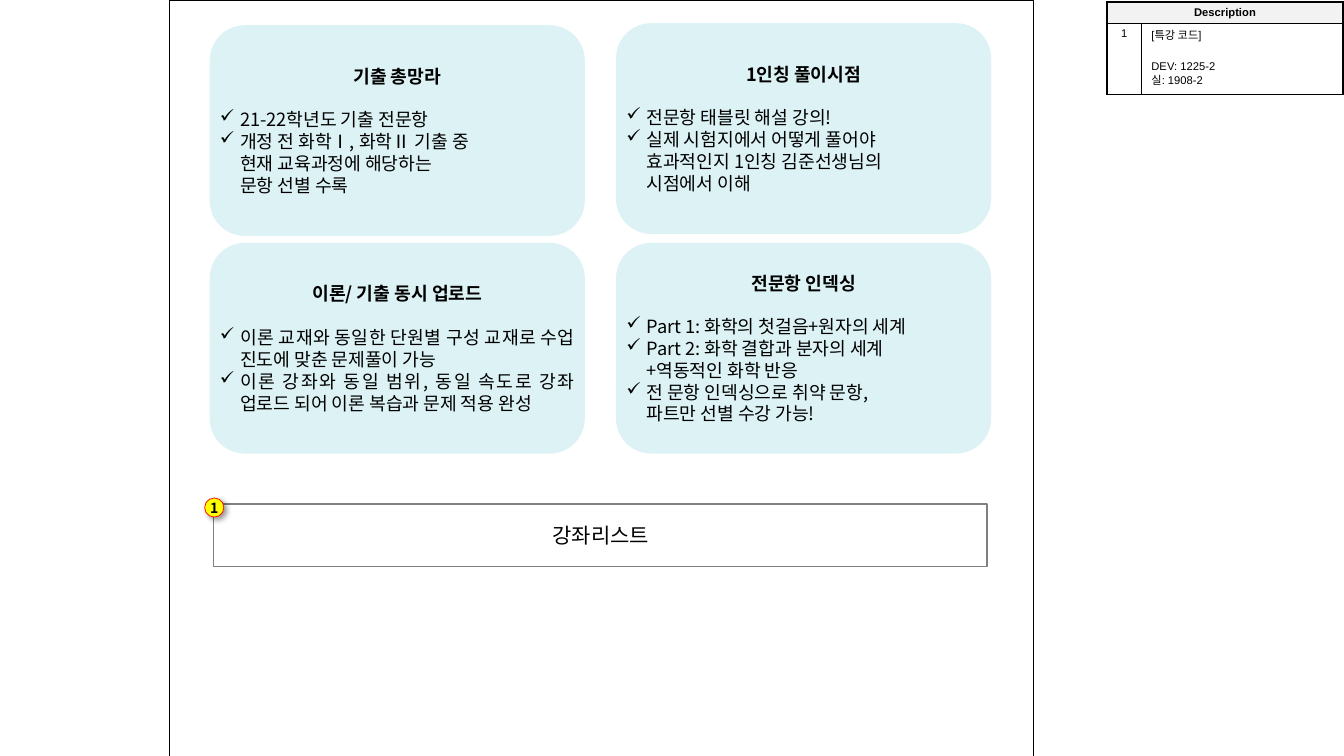
from lxml.etree import SubElement
from pptx import Presentation
from pptx.dml.color import RGBColor as RGB
from pptx.enum.shapes import MSO_SHAPE as Preset
from pptx.enum.text import MSO_ANCHOR as Anchor, PP_ALIGN as Align
from pptx.oxml import parse_xml
from pptx.oxml.ns import nsdecls, qn
from pptx.util import Inches, Pt

COLORS = {"ink": "000000", "card": "8CD4E0", "border": "808080", "head": "F2F2F2",
          "paper": "FFFFFF", "badge": "FFFF00", "ring": "FF0000"}
KOREAN = "Noto Sans CJK KR"
COLUMNS, ROWS = 133.3, 75
CHECK, MORE = "check", "continued"
CARD_LINE = Pt(15.6)
TABLE_LINE = Pt(10.7)
CARD_INDENT = 2

CARDS = [
    (0, 2.5, "기출 총망라", [
        (CHECK, "21-22학년도 기출 전문항"),
        (CHECK, "개정 전 화학Ⅰ, 화학Ⅱ 기출 중"),
        (MORE, "현재 교육과정에 해당하는"),
        (MORE, "문항 선별 수록")]),
    (1, 2.3, "1인칭 풀이시점", [
        (CHECK, "전문항 태블릿 해설 강의!"),
        (CHECK, "실제 시험지에서 어떻게 풀어야"),
        (MORE, "효과적인지 1인칭 김준선생님의"),
        (MORE, "시점에서 이해")]),
    (0, 24.1, "이론/ 기출 동시 업로드", [
        (CHECK, "이론 교재와 동일한 단원별 구성 교재로 수업 진도에 맞춘 문제풀이 가능"),
        (CHECK, "이론 강좌와 동일 범위, 동일 속도로 강좌 업로드 되어 이론 복습과 문제 적용 완성")]),
    (1, 24.1, "전문항 인덱싱", [
        (CHECK, "Part 1: 화학의 첫걸음+원자의 세계"),
        (CHECK, "Part 2: 화학 결합과 분자의 세계"),
        (MORE, "+역동적인 화학 반응"),
        (CHECK, "전 문항 인덱싱으로 취약 문항,"),
        (MORE, "파트만 선별 수강 가능!")]),
]


def apply(target, formats):
    for name, value in formats.items():
        setattr(target, name, value)


class Board:
    """Draws on one slide; lengths are columns and rows of its grid."""

    def __init__(self, deck):
        self.slide = deck.slides.add_slide(deck.slide_layouts[6])
        self.column = deck.slide_width / COLUMNS
        self.row = deck.slide_height / ROWS

    def place(self, left, top, width, height):
        return [round(size * unit) for size, unit in
                zip((left, top, width, height), (self.column, self.row) * 2)]

    def add_line(self, frame, text, size, font=KOREAN, bold=False, first=False, **formats):
        paragraph = frame.paragraphs[0] if first else frame.add_paragraph()
        apply(paragraph, formats)
        run = paragraph.add_run()
        run.text = text
        apply(run.font, {"name": font, "size": Pt(size), "bold": bold})
        run.font.color.rgb = RGB.from_string(COLORS["ink"])
        SubElement(run._r.get_or_add_rPr(), qn("a:ea"), typeface=KOREAN)
        return paragraph

    def set_frame(self, frame, anchor=Anchor.MIDDLE, wrap=True):
        apply(frame, {"margin_left": 0, "margin_right": 0, "margin_top": 0,
                      "margin_bottom": 0, "vertical_anchor": anchor, "word_wrap": wrap})

    def shape(self, preset, box, fill=None, line=None, weight=1):
        shape = self.slide.shapes.add_shape(preset, *self.place(*box))
        shape.shadow.inherit = False
        if fill:
            shape.fill.solid()
            shape.fill.fore_color.rgb = RGB.from_string(COLORS[fill])
        else:
            shape.fill.background()
        if line:
            shape.line.color.rgb = RGB.from_string(COLORS[line])
            shape.line.width = Pt(weight)
        else:
            shape.line.fill.background()
        return shape

    def card(self, side, top, heading, points):
        card = self.shape(Preset.ROUNDED_RECTANGLE, (20.8 + 40.3 * side, top, 37.2, 20.9), "card")
        tint = card._element.spPr.find(qn("a:solidFill"))[0]
        SubElement(tint, qn("a:alpha"), val="30000")
        frame = card.text_frame
        self.set_frame(frame)
        self.add_line(frame, heading, 13, bold=True, first=True, alignment=Align.CENTER,
                      line_spacing=CARD_LINE, space_after=CARD_LINE)
        indent = round(CARD_INDENT * self.column)
        for kind, text in points:
            point = self.add_line(frame, text, 13, alignment=Align.JUSTIFY, line_spacing=CARD_LINE)
            layout = point._p.get_or_add_pPr()
            layout.set("marL", str(indent))
            layout.set("indent", str(-indent if kind == CHECK else 0))
            if kind == CHECK:
                SubElement(layout, qn("a:buChar"), char="✓")

    def label(self, box, text, size):
        frame = self.slide.shapes.add_textbox(*self.place(*box)).text_frame
        self.set_frame(frame)
        self.add_line(frame, text, size, first=True, alignment=Align.CENTER)

    def badge(self, box, number):
        badge = self.shape(Preset.OVAL, box, "badge", "ring", 0.5)
        effects = badge._element.spPr.find(qn("a:effectLst"))
        effects.append(parse_xml(
            f'<a:outerShdw {nsdecls("a")} blurRad="{Pt(4)}" dist="{Pt(3)}" dir="2700000">'
            f'<a:srgbClr val="{COLORS["ink"]}"><a:alpha val="40000"/></a:srgbClr></a:outerShdw>'))
        self.set_frame(badge.text_frame, wrap=False)
        self.add_line(badge.text_frame, number, 10, bold=True, first=True, alignment=Align.CENTER)

    def style_cell(self, cell, fill, side, edge):
        cell.fill.solid()
        cell.fill.fore_color.rgb = RGB.from_string(COLORS[fill])
        apply(cell, {"margin_left": Inches(side), "margin_right": Inches(side),
                     "margin_top": Inches(edge), "margin_bottom": Inches(edge)})
        for position, border in enumerate(("lnL", "lnR", "lnT", "lnB")):
            cell._tc.get_or_add_tcPr().insert(position, parse_xml(
                f'<a:{border} {nsdecls("a")} w="{Pt(1)}"><a:solidFill>'
                f'<a:srgbClr val="{COLORS["ink"]}"/></a:solidFill></a:{border}>'))

    def description(self, left, top, widths, heights, title, number, lines):
        box = self.place(left, top, sum(widths), sum(heights))
        table = self.slide.shapes.add_table(2, 2, *box).table
        apply(table, {"first_row": False, "horz_banding": False})
        for column, width in zip(table.columns, widths):
            column.width = round(width * self.column)
        for row, height in zip(table.rows, heights):
            row.height = round(height * self.row)
        header, number_cell, details = table.cell(0, 0), table.cell(1, 0), table.cell(1, 1)
        header.merge(table.cell(0, 1))
        for cell in (header, table.cell(0, 1)):
            self.style_cell(cell, "head", 0.09, 0.04)
        self.style_cell(number_cell, "paper", 0.09, 0.04)
        self.style_cell(details, "paper", 0.1, 0.05)
        for cell, text, bold in ((header, title, True), (number_cell, number, False)):
            self.add_line(cell.text_frame, text, 8, "Arial", bold, True, alignment=Align.CENTER)
        for index, text in enumerate(lines):
            self.add_line(details.text_frame, text, 8, "Arial", first=index == 0,
                          line_spacing=TABLE_LINE, space_after=0 if index else TABLE_LINE)


def main():
    deck = Presentation()
    apply(deck, {"slide_width": Inches(13.33), "slide_height": Inches(7.5)})
    board = Board(deck)
    board.shape(Preset.RECTANGLE, (16.8, 0, 85.7, ROWS), line="ink", weight=0.25)
    board.description(109.8, 0.2, (3.4, 20), (2.1, 7.1), "Description", "1",
                      ("[특강 코드]", "DEV: 1225-2", "실: 1908-2"))
    for card in CARDS:
        board.card(*card)
    board.shape(Preset.RECTANGLE, (21.2, 50, 76.7, 6.2), line="border")
    board.label((30.3, 51.3, 58.6, 3.5), "강좌리스트", 15)
    board.badge((20.3, 49.4, 1.9, 1.9), "1")
    deck.save("out.pptx")


if __name__ == "__main__":
    main()
